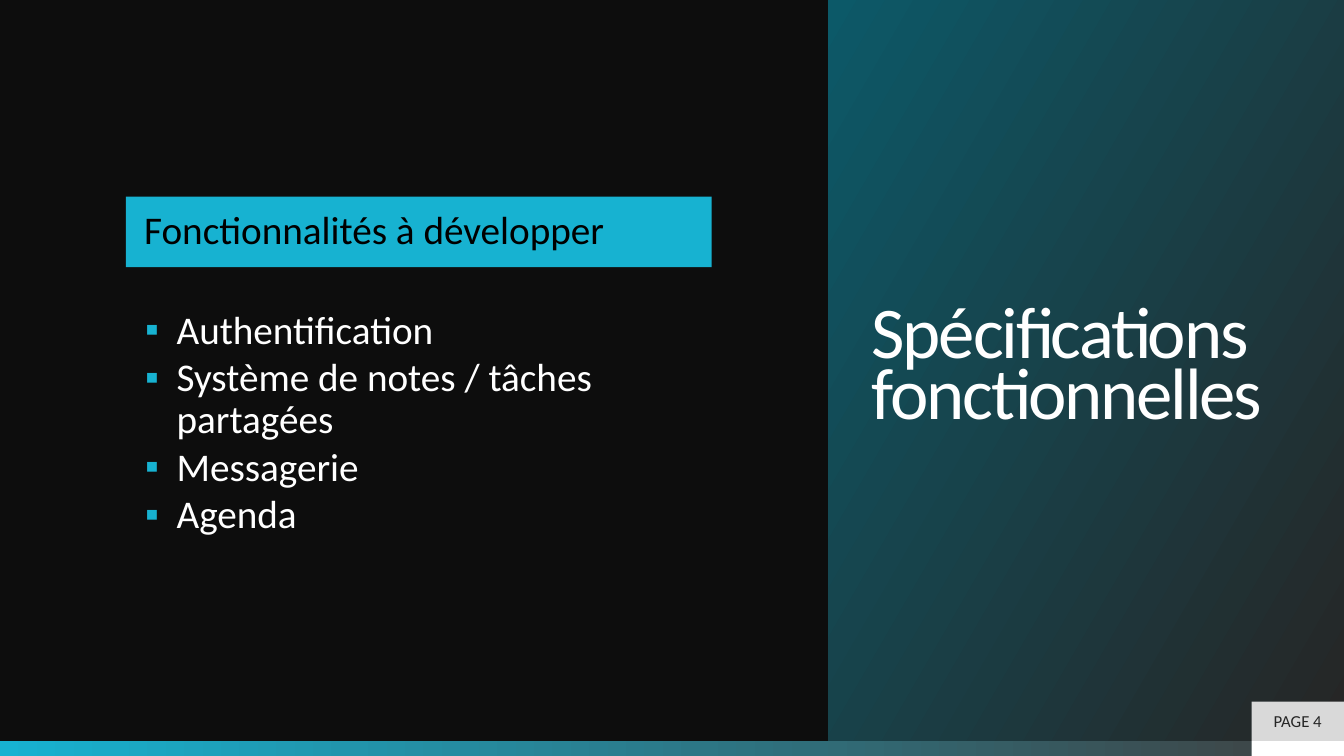
from lxml.etree import SubElement
from pptx import Presentation
from pptx.dml.color import RGBColor
from pptx.enum.shapes import MSO_SHAPE as Preset
from pptx.enum.text import MSO_ANCHOR as Anchor, PP_ALIGN as Align
from pptx.oxml.ns import qn
from pptx.util import Pt

BACKGROUND = RGBColor(0x0D, 0x0D, 0x0D)
CYAN = RGBColor(0x17, 0xB2, 0xD1)
TEAL = RGBColor(0x0C, 0x59, 0x68)
CHARCOAL = RGBColor(0x26, 0x26, 0x26)
GREY = RGBColor(0x40, 0x40, 0x40)
SILVER = RGBColor(0xD9, 0xD9, 0xD9)
WHITE = RGBColor(0xFF, 0xFF, 0xFF)
BLACK = RGBColor(0, 0, 0)

WIDTH, HEIGHT = 960, 540
BAR_TOP, BAR_HEIGHT = 529.2, 10.8
PANEL_LEFT = 591.6
TAG_LEFT, TAG_TOP = 894, 501.12
HEADING_BOX = (90, 140.4, 418.3, 50.4)
FEATURES = [
    "Authentification",
    "Système de notes / tâches partagées",
    "Messagerie",
    "Agenda",
]


def set_all(target, values):
    for name, value in values.items():
        setattr(target, name, value)


def add_block(slide, box, color=None):
    block = slide.shapes.add_shape(Preset.RECTANGLE, *map(Pt, box))
    block.shadow.inherit = False
    block.line.fill.background()
    if color is not None:
        block.fill.solid()
        block.fill.fore_color.rgb = color
    return block


def add_gradient_block(slide, box, stops, angle):
    block = add_block(slide, box)
    block.fill.gradient()
    block.fill.gradient_angle = angle
    for stop, (position, color) in zip(block.fill.gradient_stops, stops):
        stop.position = position
        stop.color.rgb = color
    return block


def write(block, lines, size, color, frame_format, paragraph_format):
    frame = block.text_frame
    set_all(frame, {"word_wrap": True, **frame_format})
    for index, line in enumerate(lines):
        paragraph = frame.add_paragraph() if index else frame.paragraphs[0]
        paragraph.text = line
        set_all(paragraph, {"alignment": Align.LEFT, **paragraph_format})
        for run in paragraph.runs:
            set_all(run.font, {"name": "Calibri", "size": Pt(size)})
            run.font.color.rgb = color
    return frame.paragraphs


def add_bullet(paragraph, color):
    properties = paragraph._p.get_or_add_pPr()
    properties.set("marL", str(Pt(22.5)))
    properties.set("indent", str(Pt(-22.5)))
    bullet_color = SubElement(properties, qn("a:buClr"))
    SubElement(bullet_color, qn("a:srgbClr"), val=str(color))
    SubElement(properties, qn("a:buFont"), typeface="Arial")
    SubElement(properties, qn("a:buChar"), char="▪")


def add_title_panel(slide):
    panel = add_gradient_block(
        slide, (PANEL_LEFT, 0, WIDTH - PANEL_LEFT, BAR_TOP),
        [(0.01, CHARCOAL), (1, TEAL)], 150)
    margins = {"margin_left": Pt(31), "margin_right": Pt(31),
               "vertical_anchor": Anchor.MIDDLE}
    title, = write(panel, ["Spécifications\nfonctionnelles"], 52, WHITE,
                   margins, {"line_spacing": 0.7})
    for run in title.runs:
        run.font._element.set("spc", "-150")


def add_features(slide):
    features = slide.shapes.add_textbox(*map(Pt, (66.2, 115.2, 484.6, 298)))
    margins = {"margin_left": Pt(37.5), "margin_right": Pt(37.5),
               "margin_top": Pt(106.5), "margin_bottom": Pt(16)}
    for feature in write(features, FEATURES, 28, WHITE, margins,
                         {"line_spacing": 0.9, "space_after": Pt(3.6)}):
        add_bullet(feature, CYAN)


def add_heading(slide):
    heading = add_block(slide, HEADING_BOX, CYAN)
    margins = {"margin_left": Pt(13), "margin_right": Pt(13),
               "margin_top": 0, "margin_bottom": 0,
               "vertical_anchor": Anchor.MIDDLE}
    write(heading, ["Fonctionnalités à développer"], 28, BLACK,
          margins, {"line_spacing": 0.9})


def add_page_tag(slide):
    tag = add_block(
        slide, (TAG_LEFT, TAG_TOP, WIDTH - TAG_LEFT, BAR_TOP - TAG_TOP), SILVER)
    write(tag, ["PAGE 4"], 12, CHARCOAL,
          {"vertical_anchor": Anchor.MIDDLE}, {"alignment": Align.CENTER})


def main():
    deck = Presentation()
    set_all(deck, {"slide_width": Pt(WIDTH), "slide_height": Pt(HEIGHT)})
    slide = deck.slides.add_slide(deck.slide_layouts[6])
    slide.background.fill.solid()
    slide.background.fill.fore_color.rgb = BACKGROUND

    add_gradient_block(slide, (0, BAR_TOP, WIDTH, BAR_HEIGHT),
                       [(0, CYAN), (1, GREY)], 0)
    add_block(slide, (TAG_LEFT, BAR_TOP, WIDTH - TAG_LEFT, BAR_HEIGHT), WHITE)
    add_title_panel(slide)
    add_features(slide)
    add_heading(slide)
    add_page_tag(slide)
    deck.save("out.pptx")


if __name__ == "__main__":
    main()
